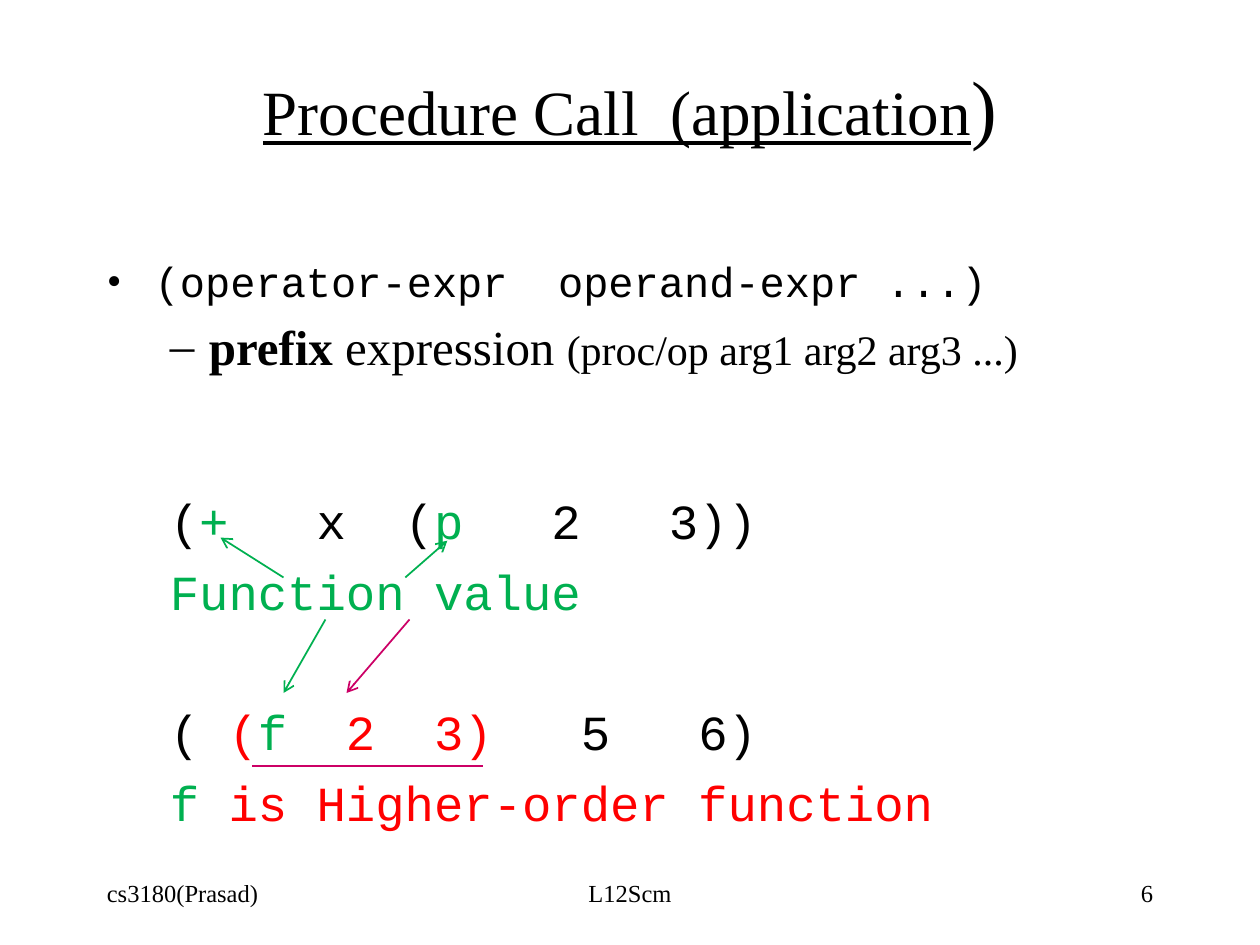
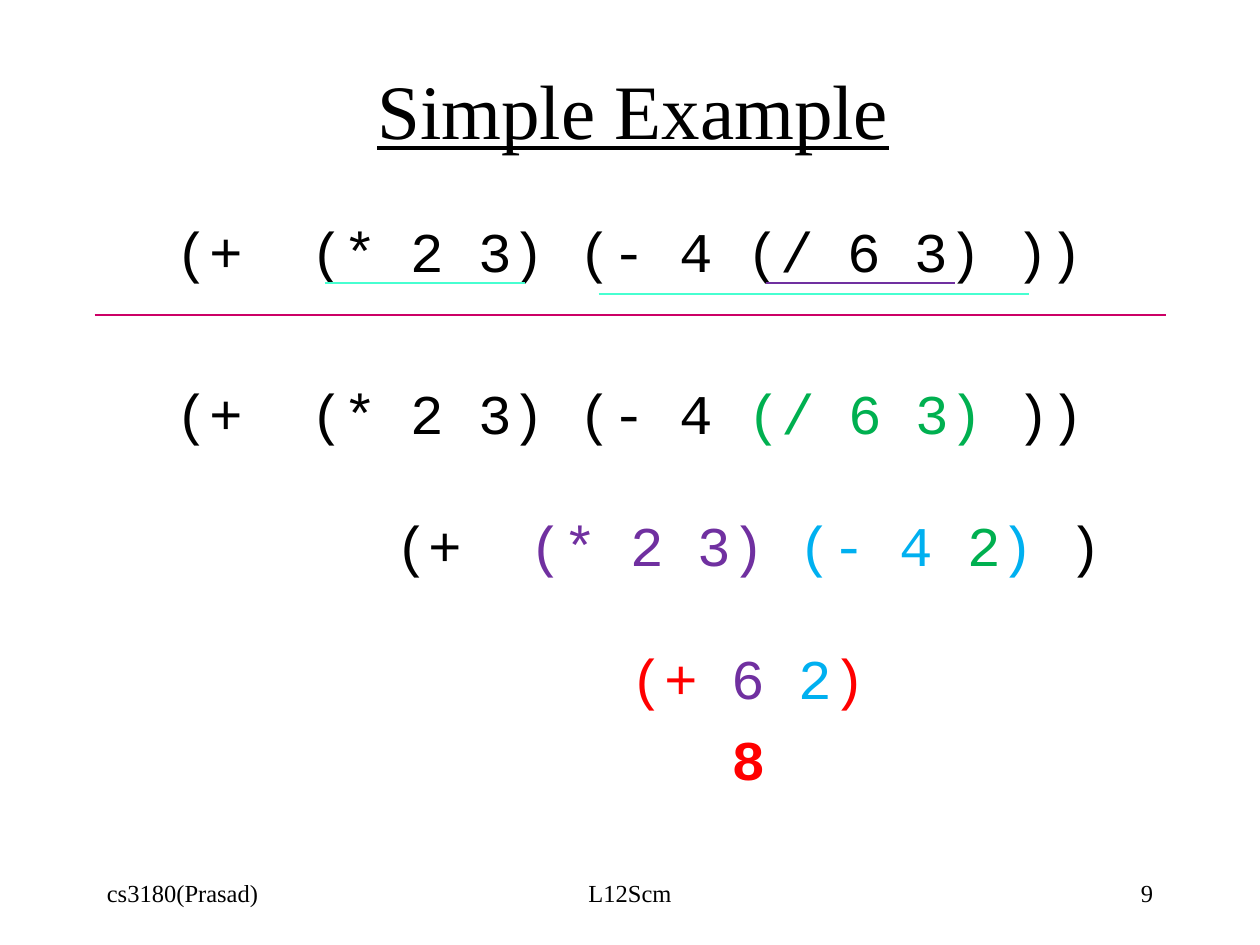
from lxml.etree import SubElement
from pptx import Presentation
from pptx.dml.color import RGBColor
from pptx.enum.shapes import MSO_CONNECTOR
from pptx.enum.text import MSO_ANCHOR, MSO_AUTO_SIZE, PP_ALIGN
from pptx.oxml.ns import qn
from pptx.util import Inches, Pt

BLACK = RGBColor(0x00, 0x00, 0x00)
GREEN = RGBColor(0x00, 0xB0, 0x50)
RED = RGBColor(0xFF, 0x00, 0x00)
PURPLE = RGBColor(0x70, 0x30, 0xA0)
SKY = RGBColor(0x00, 0xB0, 0xF0)
MAGENTA = RGBColor(0xCC, 0x00, 0x66)
AQUA = RGBColor(0x47, 0xFF, 0xD1)
SERIF, MONO = "Times New Roman", "Courier New"

deck = Presentation()
deck.slide_width, deck.slide_height = Inches(10), Inches(7.5)
CELL = deck.slide_width / 120  # the slide is a grid of 120 columns and 90 rows
LEFT, WIDTH = 9, 102


def write(para, spans, font, size, align=PP_ALIGN.LEFT, before=0, margin=0, bullet=None, hang=0):
    """Fill a paragraph with (text, colour, overrides) spans; margin and hang in inches."""
    para.alignment = align
    para.space_before = Pt(before)
    properties = para._p.get_or_add_pPr()
    properties.set("marL", str(Inches(margin)))
    properties.set("indent", str(Inches(-hang)))
    if bullet:
        SubElement(properties, qn("a:buFont")).set("typeface", SERIF)
        SubElement(properties, qn("a:buChar")).set("char", bullet)
    for text, colour, *overrides in spans:
        span = para.add_run()
        span.text = text
        span.font.name, span.font.size = font, Pt(size)
        span.font.color.rgb = colour
        for style in overrides:
            for name, value in style.items():
                setattr(span.font, name, value)


def draw_line(page, start, end, colour, arrow=False):
    points = [round(CELL * value) for value in (*start, *end)]
    line = page.shapes.add_connector(MSO_CONNECTOR.STRAIGHT, *points)
    line.line.color.rgb = colour
    line.line.width = Pt(1)
    if arrow:
        SubElement(line.line._get_or_add_ln(), qn("a:tailEnd")).set("type", "arrow")
    SubElement(line._element.spPr, qn("a:effectLst"))


UNDERLINED = {"underline": True}
slides = [
    {
        "number": "6",
        "title": [("Procedure Call  (application", BLACK, UNDERLINED, {"size": Pt(36)}), (")", BLACK)],
        "title_area": (LEFT, 4, WIDTH, 12),
        "body_area": (LEFT, 18, WIDTH, 62),
        "body_inset": 0.53,
        "body": [
            ([("(operator-expr  operand-expr ...)", BLACK)],
             dict(font=MONO, size=24, margin=0.38, hang=0.38, bullet="•")),
            ([("prefix", BLACK, {"bold": True}), (" expression ", BLACK),
              ("(proc/op arg1 arg2 arg3 ...)", BLACK, {"size": Pt(24)})],
             dict(font=SERIF, size=28, before=6, margin=0.81, hang=0.31, bullet="–")),
            ([("(", BLACK), ("+", GREEN), ("   x  (", BLACK), ("p", GREEN), ("   2   3))", BLACK)],
             dict(font=MONO, size=28, before=65.5, margin=0.5)),
            ([("Function value", GREEN)], dict(font=MONO, size=28, before=7, margin=0.5)),
            ([("( ", BLACK), ("(", RED), ("f", GREEN), ("  2  3)   ", RED), ("5   6)", BLACK)],
             dict(font=MONO, size=28, before=46.5, margin=0.5)),
            ([("f ", GREEN), ("is Higher-order function", RED)],
             dict(font=MONO, size=28, before=7, margin=0.5)),
        ],
        "lines": [
            ((27, 55), (21, 51.2), GREEN, True),
            ((38.6, 55), (42.6, 51.5), GREEN, True),
            ((24, 72.95), (46, 72.95), MAGENTA),
            ((39, 59), (33, 66), MAGENTA, True),
            ((31, 59), (27, 66), GREEN, True),
        ],
    },
    {
        "number": "9",
        "title": [("Simple Example", BLACK, UNDERLINED)],
        "title_area": (LEFT + 0.3, 4.9, WIDTH, 11),
        "body_area": (LEFT, 20, WIDTH, 60),
        "body_inset": 0.05,
        "body": [
            (spans, dict(font=MONO, size=32, align=PP_ALIGN.CENTER, before=before, margin=margin))
            for before, margin, spans in [
                (8, 0, [("(+  (* 2 3) (- 4 (/ 6 3) ))", BLACK)]),
                (54.3, 0, [("(+  (* 2 3) (- 4 ", BLACK), ("(/ 6 3) ", GREEN), ("))", BLACK)]),
                (37.3, 1.88, [("(+  ", BLACK), ("(* 2 3) ", PURPLE), ("(- 4 ", SKY),
                              ("2", GREEN), (") ", SKY), (")", BLACK)]),
                (37.3, 1.88, [("(+ ", RED), ("6 ", PURPLE), ("2", SKY), (")", RED)]),
                (7.7, 1.88, [("8", RED, {"bold": True})]),
            ]
        ],
        "lines": [
            ((LEFT, 30), (LEFT + WIDTH, 30), MAGENTA),
            ((31, 26.95), (50, 26.95), AQUA),
            ((57, 28), (98, 28), AQUA),
            ((73, 26.95), (91, 26.95), PURPLE),
        ],
    },
]

for content in slides:
    page = deck.slides.add_slide(deck.slide_layouts[5])

    title = page.shapes.title
    title.left, title.top, title.width, title.height = [
        round(CELL * value) for value in content["title_area"]]
    title.text_frame.auto_size = MSO_AUTO_SIZE.NONE
    title.text_frame.vertical_anchor = MSO_ANCHOR.MIDDLE
    write(title.text_frame.paragraphs[0], content["title"], SERIF, 44, PP_ALIGN.CENTER)

    body = page.shapes.add_textbox(*[round(CELL * value) for value in content["body_area"]])
    body.text_frame.word_wrap = True
    body.text_frame.margin_top = Inches(content["body_inset"])
    for index, (spans, style) in enumerate(content["body"]):
        para = body.text_frame.add_paragraph() if index else body.text_frame.paragraphs[0]
        write(para, spans, **style)

    for column, columns, text, align in [
        (LEFT, 25, "cs3180(Prasad)", PP_ALIGN.LEFT),
        (41, 38, "L12Scm", PP_ALIGN.CENTER),
        (86, 25, content["number"], PP_ALIGN.RIGHT),
    ]:
        footer = page.shapes.add_textbox(*[round(CELL * value) for value in (column, 82, columns, 6)])
        footer.text_frame.word_wrap = True
        footer.text_frame.vertical_anchor = MSO_ANCHOR.MIDDLE
        write(footer.text_frame.paragraphs[0], [(text, BLACK)], SERIF, 14, align)

    for line in content["lines"]:
        draw_line(page, *line)

deck.save("out.pptx")
